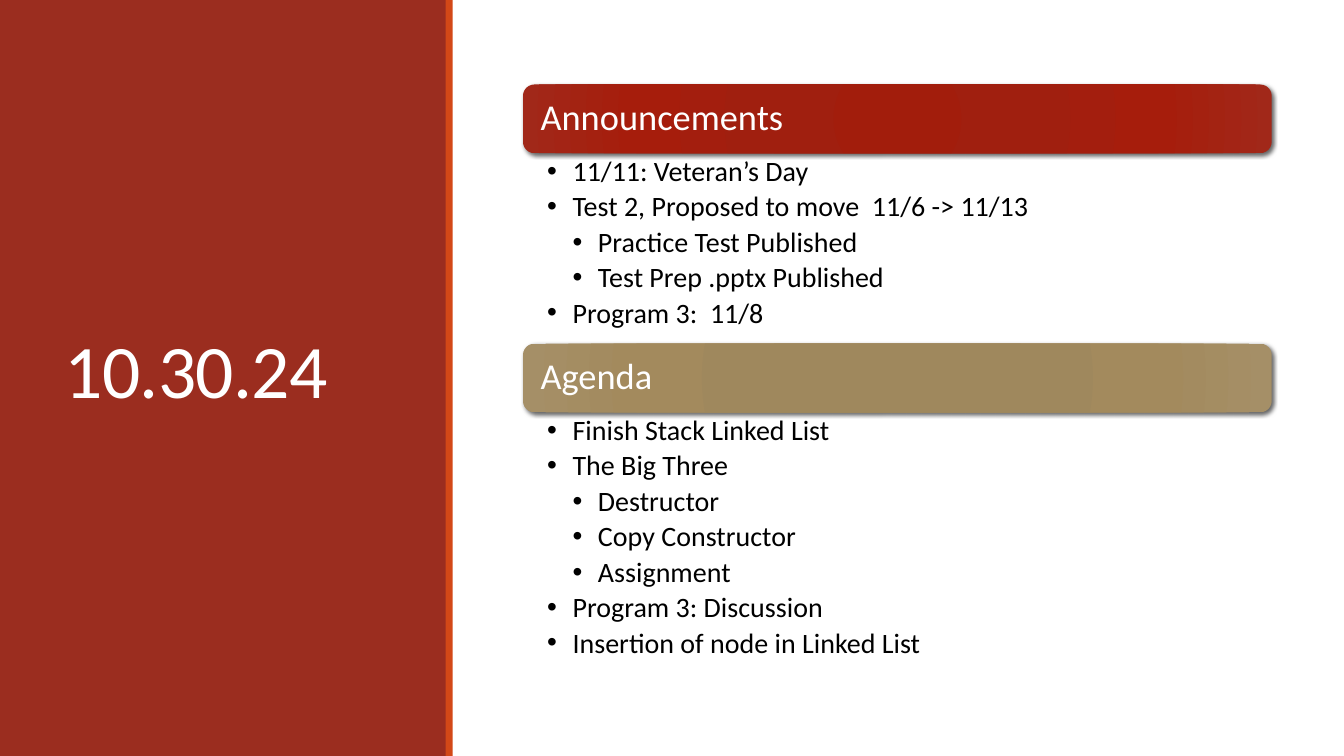
"""Build the class slide for 10.30.24 with its announcements and agenda."""
import pptx
import pptx.dml.color
import pptx.enum.shapes
import pptx.enum.text
import pptx.oxml
import pptx.oxml.ns
import pptx.util
from dataclasses import dataclass

Cm = pptx.util.Cm
Pt = pptx.util.Pt
RGB = pptx.dml.color.RGBColor.from_string
SHAPE = pptx.enum.shapes.MSO_SHAPE
ANCHOR = pptx.enum.text.MSO_ANCHOR
ALIGN = pptx.enum.text.PP_ALIGN
NS = pptx.oxml.ns.nsdecls("a")


@dataclass(frozen=True)
class Theme:
    font: str = "Calibri"
    panel: str = "9B2D1F"
    stripe: str = "D34817"
    light: str = "FFFFFF"
    dark: str = "000000"
    red: tuple = ("A21D0C", "A01F0F", "A61D0C", "A12819")
    tan: tuple = ("9F875B", "9F885D", "A38A5D", "A58F67")
    stops: tuple = (0, 34, 70, 100)
    date_size: int = 54
    header_size: int = 26
    list_size: int = 20


theme = Theme()


def add_block(slide, kind, left, top, width, height, color):
    block = slide.shapes.add_shape(kind, Cm(left), Cm(top), Cm(width), Cm(height))
    block.shadow.inherit = False
    block.fill.solid()
    block.fill.fore_color.rgb = RGB(color)
    block.line.fill.background()
    return block


def style_paragraph(paragraph, size, color, spacing):
    paragraph.alignment = ALIGN.LEFT
    paragraph.line_spacing = spacing
    paragraph.space_before = Pt(0)
    for run in paragraph.runs:
        run.font.name = theme.font
        run.font.size = Pt(size)
        run.font.color.rgb = RGB(color)


deck = pptx.Presentation()
deck.slide_width, deck.slide_height = Cm(33.87), Cm(19.05)
slide = deck.slides.add_slide(deck.slide_layouts[3])

date = slide.shapes.title
panel = add_block(slide, SHAPE.RECTANGLE, 0, 0, 11.25, 19.05, theme.panel)
date.element.addprevious(panel.element)
add_block(slide, SHAPE.RECTANGLE, 11.23, 0, 0.18, 19.05, theme.stripe)

date.left, date.top, date.width, date.height = Cm(1.37), Cm(1.45), Cm(8.56), Cm(16.03)
date.text_frame.text = "10.30.24"
date.text_frame.word_wrap = True
date.text_frame.auto_size = pptx.enum.text.MSO_AUTO_SIZE.NONE
date.text_frame.vertical_anchor = ANCHOR.MIDDLE
style_paragraph(date.text_frame.paragraphs[0], theme.date_size, theme.light, 0.85)
date.text_frame.paragraphs[0].runs[0].font._element.set("spc", "-50")

section_left, section_width, header_height = 13.18, 18.87, 1.73
sections = [
    ("Announcements", theme.red, 2.13, 4.78, [
        (0, "11/11: Veteran’s Day"),
        (0, "Test 2, Proposed to move  11/6 -> 11/13"),
        (1, "Practice Test Published"),
        (1, "Test Prep .pptx Published"),
        (0, "Program 3:  11/8"),
    ]),
    ("Agenda", theme.tan, 8.66, 6.73, [
        (0, "Finish Stack Linked List"),
        (0, "The Big Three"),
        (1, "Destructor"),
        (1, "Copy Constructor"),
        (1, "Assignment"),
        (0, "Program 3: Discussion"),
        (0, "Insertion of node in Linked List"),
    ]),
]

for number, (heading, shades, top, list_height, topics) in enumerate(sections, 1):
    header = add_block(slide, SHAPE.ROUNDED_RECTANGLE, section_left, top,
                       section_width, header_height, shades[0])
    stops = "".join(f'<a:gs pos="{stop * 1000}"><a:srgbClr val="{shade}"/></a:gs>'
                    for stop, shade in zip(theme.stops, shades))
    gradient = pptx.oxml.parse_xml(
        f'<a:gradFill {NS} rotWithShape="1"><a:gsLst>{stops}</a:gsLst><a:path path="circle">'
        '<a:fillToRect l="100000" t="100000" r="100000" b="100000"/></a:path></a:gradFill>')
    properties = header.element.spPr
    properties.replace(properties.find(pptx.oxml.ns.qn("a:solidFill")), gradient)
    properties.find(pptx.oxml.ns.qn("a:effectLst")).append(pptx.oxml.parse_xml(
        f'<a:outerShdw {NS} blurRad="38100" dist="25400" dir="2700000" rotWithShape="0">'
        f'<a:srgbClr val="{theme.dark}"><a:alpha val="60000"/></a:srgbClr></a:outerShdw>'))
    header.text_frame.text = heading
    header.text_frame.word_wrap = True
    header.text_frame.vertical_anchor = ANCHOR.MIDDLE
    header.text_frame.margin_left = header.text_frame.margin_right = Cm(0.36)
    style_paragraph(header.text_frame.paragraphs[0], theme.header_size, theme.light, 0.9)

    listing = slide.placeholders[number]
    listing.left, listing.top = Cm(section_left), Cm(top + header_height)
    listing.width, listing.height = Cm(section_width), Cm(list_height)
    frame = listing.text_frame
    frame.text = "\n".join(topic for level, topic in topics)
    frame.word_wrap = True
    frame.auto_size = pptx.enum.text.MSO_AUTO_SIZE.NONE
    frame.vertical_anchor = ANCHOR.TOP
    frame.margin_left, frame.margin_right = Cm(0.61), Cm(0.51)
    frame.margin_top = frame.margin_bottom = Cm(0.1)
    for paragraph, (level, topic) in zip(frame.paragraphs, topics):
        paragraph.level = level
        style_paragraph(paragraph, theme.list_size, theme.dark, 0.9)
        paragraph.space_after = Pt(3.7)
        layout = paragraph._p.get_or_add_pPr()
        layout.set("marL", str(Cm(0.64 * (level + 1))))
        layout.set("indent", str(-Cm(0.64)))
        layout.append(pptx.oxml.parse_xml(f'<a:buChar {NS} char="•"/>'))

deck.save("out.pptx")
